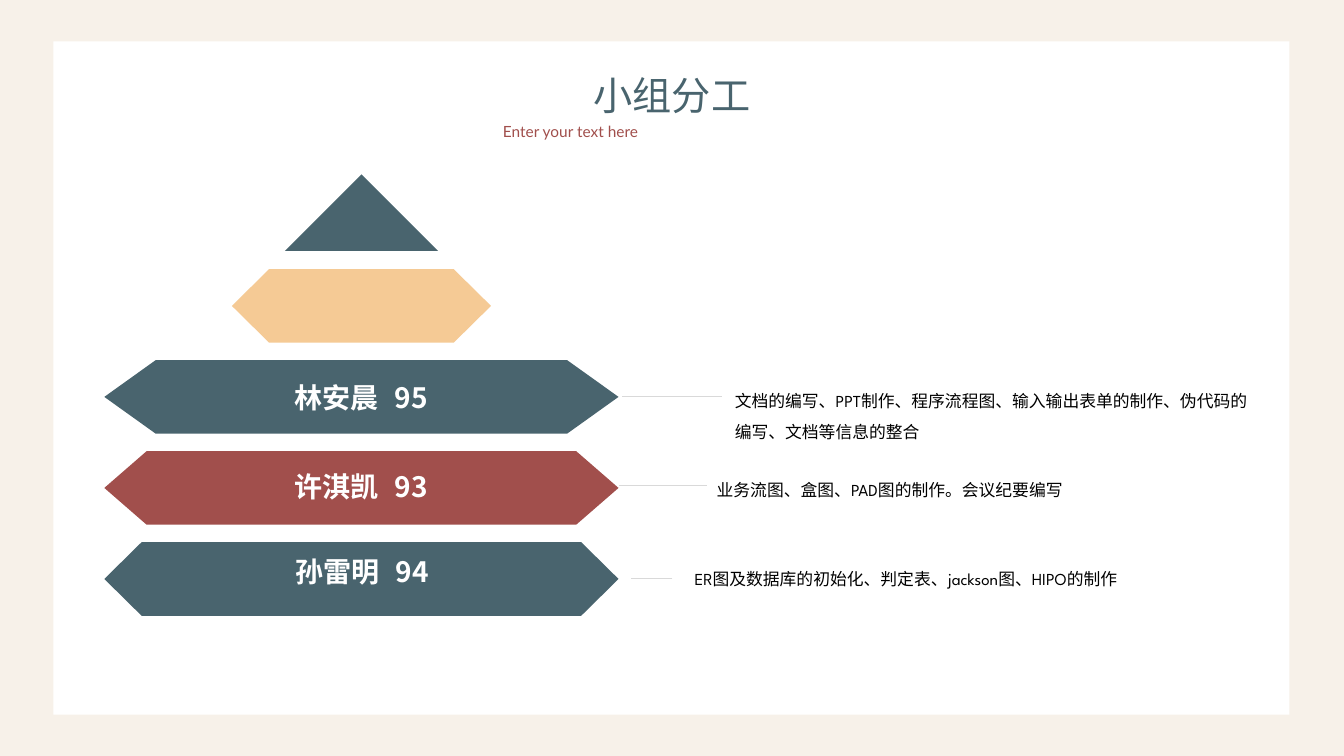
import pptx
import pptx.util
import pptx.dml.color
import pptx.enum.shapes
import pptx.enum.text
import pptx.oxml.ns
import lxml.etree

Inches, Pt = pptx.util.Inches, pptx.util.Pt
ALIGN = pptx.enum.text.PP_ALIGN
SHAPE = pptx.enum.shapes.MSO_SHAPE
qn = pptx.oxml.ns.qn

COLORS = {
    "cream": "F7F1E9", "white": "FFFFFF", "slate": "49646E", "red": "A14F4C",
    "sand": "F5CA95", "line": "D9D9D9", "black": "000000",
}
CJK = "Noto Sans CJK SC"


def rgb(name):
    return pptx.dml.color.RGBColor.from_string(COLORS[name])


def write(tf, text, size=12, font=CJK, color="black", bold=False,
          align=ALIGN.LEFT, spacing=None):
    p = tf.paragraphs[0]
    p.alignment = align
    if spacing:
        p.line_spacing = spacing
    r = p.add_run()
    r.text = text
    r.font.size = Pt(size)
    r.font.bold = bold
    r.font.name = font
    r.font.color.rgb = rgb(color)
    # East Asian glyphs always use the CJK face
    ea = lxml.etree.SubElement(r.font._element, qn("a:ea"))
    ea.set("typeface", CJK)


class Deck:
    def __init__(self, width, height):
        self.prs = pptx.Presentation()
        self.prs.slide_width = Inches(width)
        self.prs.slide_height = Inches(height)
        self.s = None

    def slide(self, background):
        self.s = self.prs.slides.add_slide(self.prs.slide_layouts[6])
        self.s.background.fill.solid()
        self.s.background.fill.fore_color.rgb = rgb(background)

    def paint(self, sp, color):
        sp.shadow.inherit = False
        sp.fill.solid()
        sp.fill.fore_color.rgb = rgb(color)
        sp.line.fill.background()

    def shape(self, kind, x, y, w, h, color):
        sp = self.s.shapes.add_shape(kind, Inches(x), Inches(y), Inches(w), Inches(h))
        self.paint(sp, color)

    def pointed_bar(self, x, y, w, h, point, color):
        right, middle, bottom = x + w, y + h / 2, y + h
        outline = [(right - point, y), (right, middle), (right - point, bottom),
                   (x + point, bottom), (x, middle)]
        fb = self.s.shapes.build_freeform(Inches(x + point), Inches(y))
        fb.add_line_segments([(Inches(a), Inches(b)) for a, b in outline], close=True)
        self.paint(fb.convert_to_shape(), color)

    def line(self, x1, x2, y):
        c = self.s.shapes.add_connector(
            pptx.enum.shapes.MSO_CONNECTOR.STRAIGHT,
            Inches(x1), Inches(y), Inches(x2), Inches(y))
        c.line.color.rgb = rgb("line")
        c.line.width = Pt(0.5)
        lxml.etree.SubElement(c._element.spPr, qn("a:effectLst"))

    def text(self, x, y, w, h, text, wrap=True, **style):
        tf = self.s.shapes.add_textbox(Inches(x), Inches(y), Inches(w), Inches(h)).text_frame
        tf.word_wrap = wrap
        tf.auto_size = pptx.enum.text.MSO_AUTO_SIZE.SHAPE_TO_FIT_TEXT
        write(tf, text, **style)


def main():
    deck = Deck(13.33, 7.5)
    deck.slide("cream")
    deck.shape(SHAPE.RECTANGLE, 0.53, 0.41, 12.26, 6.68, "white")

    # Heading
    deck.text(5.78, 0.66, 1.77, 0.57, "小组分工", wrap=False, size=28,
              color="slate", align=ALIGN.CENTER)
    deck.text(4.89, 1.16, 3.55, 0.29, "Enter your text here", size=11,
              font="Lato", color="red", align=ALIGN.JUSTIFY)

    # Pyramid, all centred on one axis
    axis, top, pitch, bar_h = 3.585, 2.67, 0.903, 0.73
    deck.shape(SHAPE.ISOSCELES_TRIANGLE, axis - 0.76, 1.73, 1.52, 0.76, "slate")
    bars = [(2.57, 0.37, "sand"), (5.1, 0.51, "slate"),
            (5.1, 0.42, "red"), (5.1, 0.37, "slate")]
    for i, (w, point, color) in enumerate(bars):
        deck.pointed_bar(axis - w / 2, top + i * pitch, w, bar_h, point, color)

    # Members: name and score, leader line, duties
    members = [
        ("林安晨\t95", 2.37, 3.73, (7.16, 6.17, 3.93), (7.19, 3.73, 0.67),
         "文档的编写、PPT制作、程序流程图、输入输出表单的制作、伪代码的编写、文档等信息的整合"),
        ("许淇凯\t93", 2.37, 4.61, (7.01, 6.14, 4.82), (7.01, 4.61, 0.37),
         "业务流图、盒图、PAD图的制作。会议纪要编写"),
        ("孙雷明\t94", 2.38, 5.45, (6.67, 6.26, 5.74), (6.79, 5.49, 0.37),
         "ER图及数据库的初始化、判定表、jackson图、HIPO的制作"),
    ]
    for name, x, y, leader, (dx, dy, dh), duties in members:
        deck.line(*leader)
        deck.text(x, y, 2.42, 0.44, name, size=20, color="white", bold=True,
                  align=ALIGN.CENTER)
        deck.text(dx, dy, 5.36, dh, duties, font="League Spartan", spacing=1.5)

    deck.prs.save("out.pptx")


if __name__ == "__main__":
    main()
